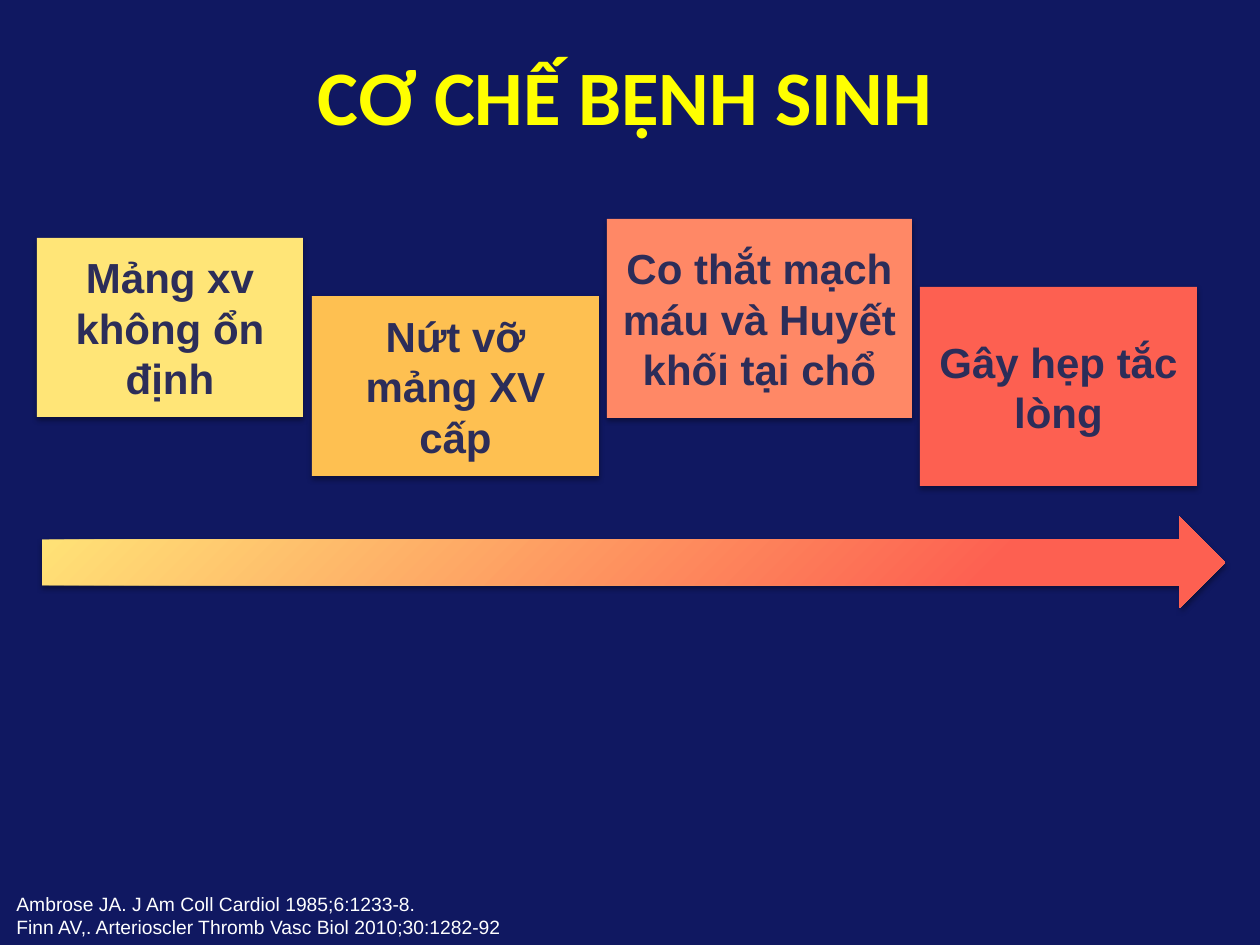
from pptx import Presentation
from pptx.dml.color import RGBColor
from pptx.enum.shapes import MSO_SHAPE as Shape
from pptx.enum.text import MSO_ANCHOR as Anchor, PP_ALIGN as Align
from pptx.oxml import parse_xml
from pptx.oxml.ns import nsdecls
from pptx.util import Pt

PX = 914400 // 126

# Content
TITLE = "CƠ CHẾ BỆNH SINH "
STAGES = [  # text, fill, (left, top, width, height)
    ("Mảng xv không ổn định", "FFE577", (37, 238, 266, 179)),
    ("Nứt vỡ mảng XV cấp", "FEC051", (312, 296, 287, 180)),
    ("Co thắt mạch máu và Huyết khối tại chổ", "FF8866", (607, 219, 305, 199)),
    ("Gây hẹp tắc lòng", "FD6051", (920, 287, 277, 199)),
]
REFERENCES = [
    "Ambrose JA. J Am Coll Cardiol 1985;6:1233-8.",
    "Finn AV,. Arterioscler Thromb Vasc Biol 2010;30:1282-92",
]
ARROW_STOPS = [(0, "FD6051"), (21, "FD6051"), (100, "FFE577")]


def rgb(color):
    return RGBColor.from_string(color)


def emu(box):
    return [value * PX for value in box]


def write(frame, lines, size, font, color, bold=False, align=Align.LEFT, anchor=Anchor.TOP):
    frame.word_wrap = True
    frame.vertical_anchor = anchor
    for i, line in enumerate(lines):
        para = frame.paragraphs[0] if i == 0 else frame.add_paragraph()
        para.alignment = align
        run = para.add_run()
        run.text = line
        run.font.size = Pt(size)
        run.font.name = font
        run.font.bold = bold
        run.font.color.rgb = rgb(color)


def add_block(slide, preset, box):
    block = slide.shapes.add_shape(preset, *emu(box))
    block.line.fill.background()
    block._element.spPr.append(parse_xml(
        f'<a:effectLst {nsdecls("a")}><a:outerShdw blurRad="{Pt(3.1)}" dist="{Pt(1.8)}" '
        'dir="5400000" rotWithShape="0"><a:srgbClr val="000000"><a:alpha val="35000"/>'
        '</a:srgbClr></a:outerShdw></a:effectLst>'))
    return block


def fill_radial(block, stops):
    """Circular gradient spreading from the bottom right corner."""
    marks = "".join(f'<a:gs pos="{pos * 1000}"><a:srgbClr val="{color}"/></a:gs>'
                    for pos, color in stops)
    block.line._ln.addprevious(parse_xml(
        f'<a:gradFill {nsdecls("a")} rotWithShape="1"><a:gsLst>{marks}</a:gsLst>'
        '<a:path path="circle"><a:fillToRect l="100000" t="100000"/></a:path></a:gradFill>'))


def main():
    deck = Presentation()
    deck.slide_width, deck.slide_height = emu((1260, 945))
    slide = deck.slides.add_slide(deck.slide_layouts[5])
    slide.background.fill.solid()
    slide.background.fill.fore_color.rgb = rgb("101861")

    # Progress arrow
    arrow = add_block(slide, Shape.RIGHT_ARROW, (42, 517, 1183, 91))
    fill_radial(arrow, ARROW_STOPS)

    # Title
    title = slide.shapes.title
    title.left, title.top, title.width, title.height = emu((4, 42, 1260, 106))
    write(title.text_frame, [TITLE], 44, "Calibri", "FFFF00", True, Align.CENTER)

    # References
    references = slide.shapes.add_textbox(*emu((4, 886, 1092, 59)))
    write(references.text_frame, REFERENCES, 11, "Arial", "FFFFFF")

    # Stages of the mechanism
    for text, color, box in STAGES:
        stage = add_block(slide, Shape.RECTANGLE, box)
        stage.fill.solid()
        stage.fill.fore_color.rgb = rgb(color)
        write(stage.text_frame, [text], 24, "Arial", "2C2D59", True, Align.CENTER, Anchor.MIDDLE)

    deck.save("out.pptx")


if __name__ == "__main__":
    main()
